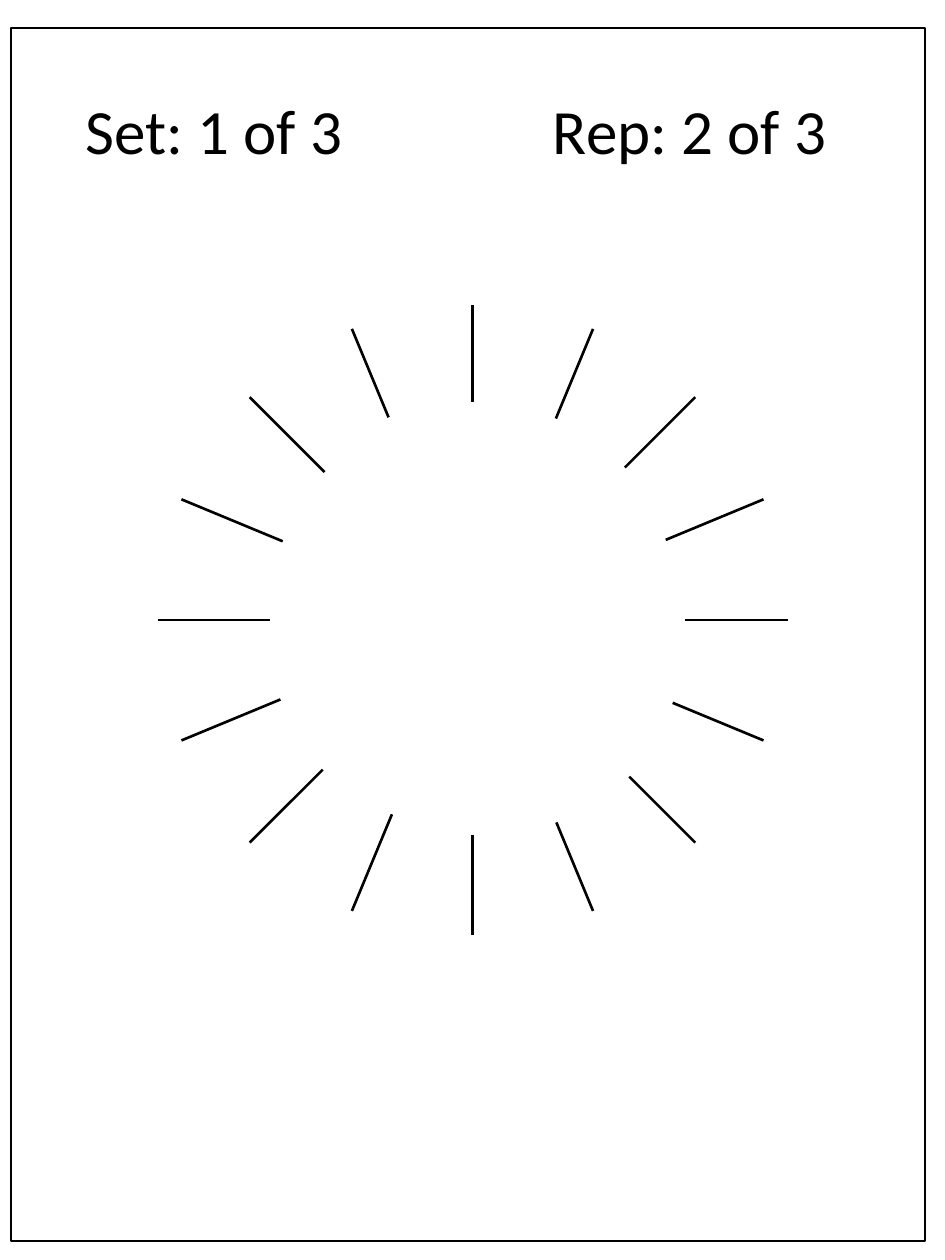
from math import cos, radians, sin

from lxml import etree
from pptx import Presentation
from pptx.dml.color import RGBColor
from pptx.enum.shapes import MSO_CONNECTOR, MSO_SHAPE
from pptx.enum.text import MSO_AUTO_SIZE
from pptx.oxml.ns import qn
from pptx.util import Inches, Pt

RECT = MSO_SHAPE.RECTANGLE
LINE = MSO_CONNECTOR.STRAIGHT
GROW = MSO_AUTO_SIZE.SHAPE_TO_FIT_TEXT
BLACK = RGBColor(0, 0, 0)

deck = Presentation()
deck.slide_width, deck.slide_height = Inches(7.5), Inches(10)
slide = deck.slides.add_slide(deck.slide_layouts[6])

# Page frame
frame = slide.shapes.add_shape(
    RECT, Inches(0.09), Inches(0.22), Inches(7.25), Inches(9.63))
frame.shadow.inherit = False
frame.fill.background()
frame.line.color.rgb = BLACK
frame.line.width = Pt(1)

# Sixteen rays, clockwise from the top: even angles and a common outer rim,
# each with its own inner radius
MID_X, MID_Y, RIM = 3.75, 4.92, 2.5
INNER = [1.73, 1.73, 1.71, 1.66, 1.69, 1.72, 1.76, 1.74,
         1.71, 1.67, 1.68, 1.65, 1.61, 1.63, 1.66, 1.74]
STEP = 360 / len(INNER)

dial = slide.shapes.add_group_shape()
for i, inner in enumerate(INNER):
    turn = radians(i * STEP)
    ends = [Inches(v) for r in (inner, RIM)
            for v in (MID_X + r * sin(turn), MID_Y - r * cos(turn))]
    ray = dial.shapes.add_connector(LINE, *ends)
    ray.line.color.rgb = BLACK
    ray.line.width = Pt(1.5)
    etree.SubElement(ray._element.spPr, qn("a:effectLst"))

# Counters
FONT = {"name": "Calibri", "size": Pt(36)}
for text, left, width in [("Set: 1 of 3", 0.58, 2.37),
                          ("Rep: 2 of 3", 4.29, 2.48)]:
    box = slide.shapes.add_textbox(
        Inches(left), Inches(0.68), Inches(width), Inches(0.71))
    body = box.text_frame
    body.word_wrap = False
    body.auto_size = GROW
    run = body.paragraphs[0].add_run()
    run.text = text
    for key, value in FONT.items():
        setattr(run.font, key, value)
    run.font.color.rgb = BLACK

deck.save("out.pptx")
